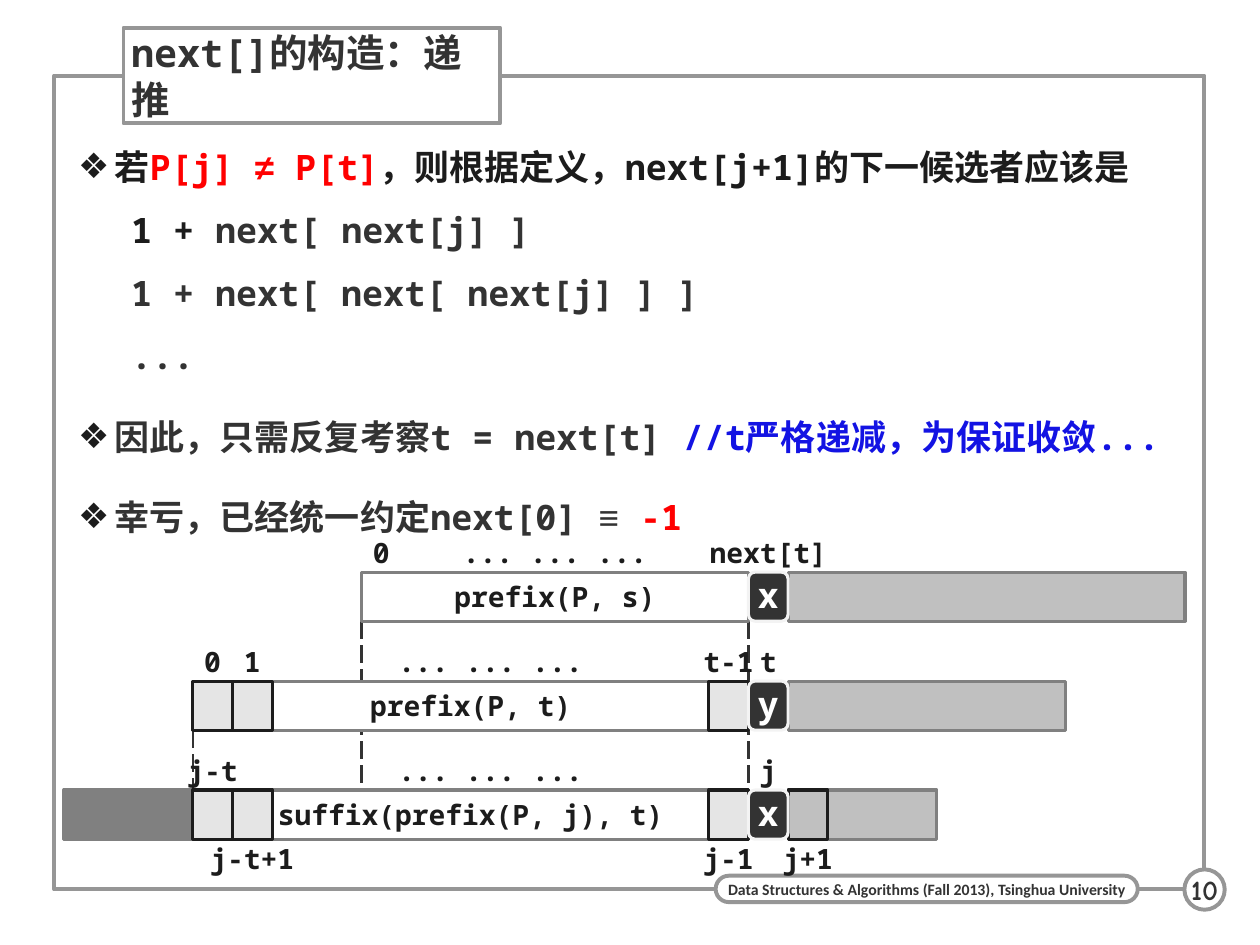
from lxml.etree import SubElement
from pptx import Presentation
from pptx.dml.color import RGBColor
from pptx.enum.dml import MSO_LINE
from pptx.enum.shapes import MSO_CONNECTOR, MSO_SHAPE
from pptx.enum.text import MSO_ANCHOR, PP_ALIGN
from pptx.oxml.ns import qn
from pptx.util import Inches, Pt

COLORS = {
    "white": "FFFFFF", "ink": "1C1C1C", "text": "333333", "frame": "969696",
    "edge": "808080", "rest": "C0C0C0", "key_edge": "F3F3F3",
    "red": "FF0000", "blue": "1313E3",
}
MONO = "Noto Sans Mono"
WIDTH, HEIGHT = 10, 7.5
COLUMN, BAR = 0.315, 0.39
ROW_STEP = 0.865
LABEL = 0.31

BULLETS = [
    [[("若", "ink", MONO), ("P[j] ", "red", MONO), ("≠", "red", "Arial"),
      (" P[t]", "red", MONO),
      ("，则根据定义，next[j+1]的下一候选者应该是", "ink", MONO)],
     [("\t1 + ", "ink", MONO), ("next[ next[j] ]", "text", MONO)],
     [("\t1 + next[ next[ next[j] ] ]", "text", MONO)],
     [("\t...", "text", MONO)]],
    [[("因此，只需反复考察t = next[t] ", "text", MONO),
      ("//t严格递减，为保证收敛...", "blue", MONO)]],
    [[("幸亏，已经统一约定next[0] ", "text", MONO), ("≡", "text", "Arial"),
      (" -1", "red", MONO)]],
]

ROWS = [
    {"start": 4.25, "end": 25, "name": "prefix(P, s)", "cells": [], "key": "x",
     "above": [(4.25, 1, "0"), (4.25, 9.75, "... ... ..."), (14, 1, "next[t]")]},
    {"start": 0, "end": 22, "name": "prefix(P, t)", "cells": [0, 1, 13], "key": "y",
     "above": [(0, 1, "0"), (1, 1, "1"), (2, 11, "... ... ..."),
               (13, 1, "t-1"), (14, 1, "t")]},
    {"start": 0, "end": 18.75, "name": "suffix(prefix(P, j), t)",
     "cells": [0, 1, 13, 15], "key": "x",
     "above": [(0, 1, "j-t"), (2, 11, "... ... ..."), (14, 1, "j")],
     "below": [(1, 1, "j-t+1"), (13, 1, "j-1"), (15, 1, "j+1")]},
]


def rgb(name):
    return RGBColor.from_string(COLORS[name])


def inches(box):
    return [Inches(length) for length in box]


def style_run(run, size, color, font=MONO):
    run.font.size = Pt(size)
    run.font.bold = True
    run.font.color.rgb = rgb(color)
    run.font.name = font
    SubElement(run.font._element, qn("a:ea"), typeface=font)


def set_margins(frame, left, top, right, bottom):
    frame.margin_left, frame.margin_top = Inches(left), Inches(top)
    frame.margin_right, frame.margin_bottom = Inches(right), Inches(bottom)


def write(shape, words, size, color, font=MONO, margins=(0.04,) * 4,
          align=PP_ALIGN.CENTER, wrap=False):
    frame = shape.text_frame
    frame.text = words
    frame.word_wrap = wrap
    frame.vertical_anchor = MSO_ANCHOR.MIDDLE
    set_margins(frame, *margins)
    frame.paragraphs[0].alignment = align
    style_run(frame.paragraphs[0].runs[0], size, color, font)


def add_block(slide, box, fill=None, line=None, weight=1.75,
              kind=MSO_SHAPE.RECTANGLE, alpha=None):
    block = slide.shapes.add_shape(kind, *inches(box))
    block.shadow.inherit = False
    if fill:
        block.fill.solid()
        block.fill.fore_color.rgb = rgb(fill)
        if alpha:
            tint = block.fill._xPr.find(qn("a:solidFill"))[0]
            SubElement(tint, qn("a:alpha"), val=str(alpha * 1000))
    else:
        block.fill.background()
    if line:
        block.line.color.rgb = rgb(line)
        block.line.width = Pt(weight)
    else:
        block.line.fill.background()
    return block


def add_frame(slide, box):
    left, top, width, height = box
    right, bottom = left + width, top + height
    add_block(slide, box, None, "frame", 2.25)
    course = add_block(slide, (right - 3.88, bottom - 0.11, 3.35, 0.21), "white",
                       "frame", 2.25, MSO_SHAPE.ROUNDED_RECTANGLE)
    course.adjustments[0] = 0.5
    write(course, "Data Structures & Algorithms (Fall 2013), Tsinghua University",
          9, "text", "Calibri", (0.06, 0, 0.06, 0))
    page = add_block(slide, (right - 0.16, bottom - 0.16, 0.32, 0.32), "white",
                     "frame", 2.25, MSO_SHAPE.OVAL)
    write(page, "10", 16, "text", "Comic Neue")
    title = add_block(slide, (left + 0.55, top - 0.38, 2.99, 0.76), "white",
                      "frame", 2.25)
    write(title, "next[]的构造：递推", 22, "text", MONO,
          (0.06, 0.01, 0.06, 0.01), PP_ALIGN.LEFT, True)


def format_bullet(paragraph, indent):
    properties = paragraph._p.get_or_add_pPr()
    properties.set("marL", str(Inches(indent)))
    properties.set("indent", str(-Inches(indent)))
    bullet_color = SubElement(properties, qn("a:buClr"))
    SubElement(bullet_color, qn("a:srgbClr"), val=COLORS["ink"])
    SubElement(properties, qn("a:buFont"), typeface="Arial")
    SubElement(properties, qn("a:buChar"), char="❖")
    tabs = SubElement(properties, qn("a:tabLst"))
    SubElement(tabs, qn("a:tab"), pos=str(Inches(0.42)), algn="l")
    paragraph.line_spacing = 1.5
    paragraph.space_after = Pt(2.5)


def add_bullets(slide, box):
    frame = slide.shapes.add_textbox(*inches(box)).text_frame
    frame.word_wrap = True
    set_margins(frame, 0.16, 0.08, 0, 0.08)
    for number, lines in enumerate(BULLETS):
        paragraph = frame.add_paragraph() if number else frame.paragraphs[0]
        format_bullet(paragraph, 0.29)
        if number:
            paragraph.space_before = Pt(7.5)
        for position, pieces in enumerate(lines):
            if position:
                paragraph.add_line_break()
            for words, color, font in pieces:
                run = paragraph.add_run()
                run.text = words
                style_run(run, 20, color, font)


def add_guide(slide, x, top, bottom):
    guide = slide.shapes.add_connector(MSO_CONNECTOR.STRAIGHT,
                                       *inches((x, top, x, bottom)))
    guide.line.color.rgb = rgb("text")
    guide.line.width = Pt(1.25)
    guide.line.dash_style = MSO_LINE.LONG_DASH
    SubElement(guide._element.spPr, qn("a:effectLst"))


def add_row(slide, left, top, row):
    def cells(start, count, y=top, height=BAR):
        return left + start * COLUMN, y, count * COLUMN, height

    start, end = row["start"], row["end"]
    add_block(slide, cells(15, end - 15), "rest", "edge")
    known = add_block(slide, cells(start, 14 - start), "white", "edge")
    write(known, row["name"], 16, "ink")
    for cell in row["cells"]:
        add_block(slide, cells(cell, 1), "rest", "ink", alpha=40)
    for side, y in (("above", top - LABEL), ("below", top + BAR)):
        for first, count, words in row.get(side, []):
            label = add_block(slide, cells(first, count, y, LABEL))
            write(label, words, 16, "ink")
    key = add_block(slide, cells(14, 1), "text", "key_edge",
                    kind=MSO_SHAPE.ROUNDED_RECTANGLE)
    key.adjustments[0] = 0.17
    write(key, row["key"], 20, "white", margins=(0, 0, 0, 0.04))


def add_alignment(slide, left, top):
    bottom = top + 2 * ROW_STEP
    for column, row in ((4.25, 0), (14, 0), (0, 1)):
        add_guide(slide, left + column * COLUMN, top + row * ROW_STEP + BAR, bottom)
    add_block(slide, (left - 3.25 * COLUMN, bottom, 3.25 * COLUMN, BAR),
              "edge", "edge")
    for number, row in enumerate(ROWS):
        add_row(slide, left, top + number * ROW_STEP, row)


def main():
    deck = Presentation()
    deck.slide_width, deck.slide_height = Inches(WIDTH), Inches(HEIGHT)
    slide = deck.slides.add_slide(deck.slide_layouts[6])
    add_frame(slide, (0.43, 0.08 * HEIGHT, 9.13, 6.46))
    add_bullets(slide, (0.46, 0.91, 9.11, 5.91))
    add_alignment(slide, 1.53, 4.54)
    deck.save("out.pptx")


if __name__ == "__main__":
    main()
